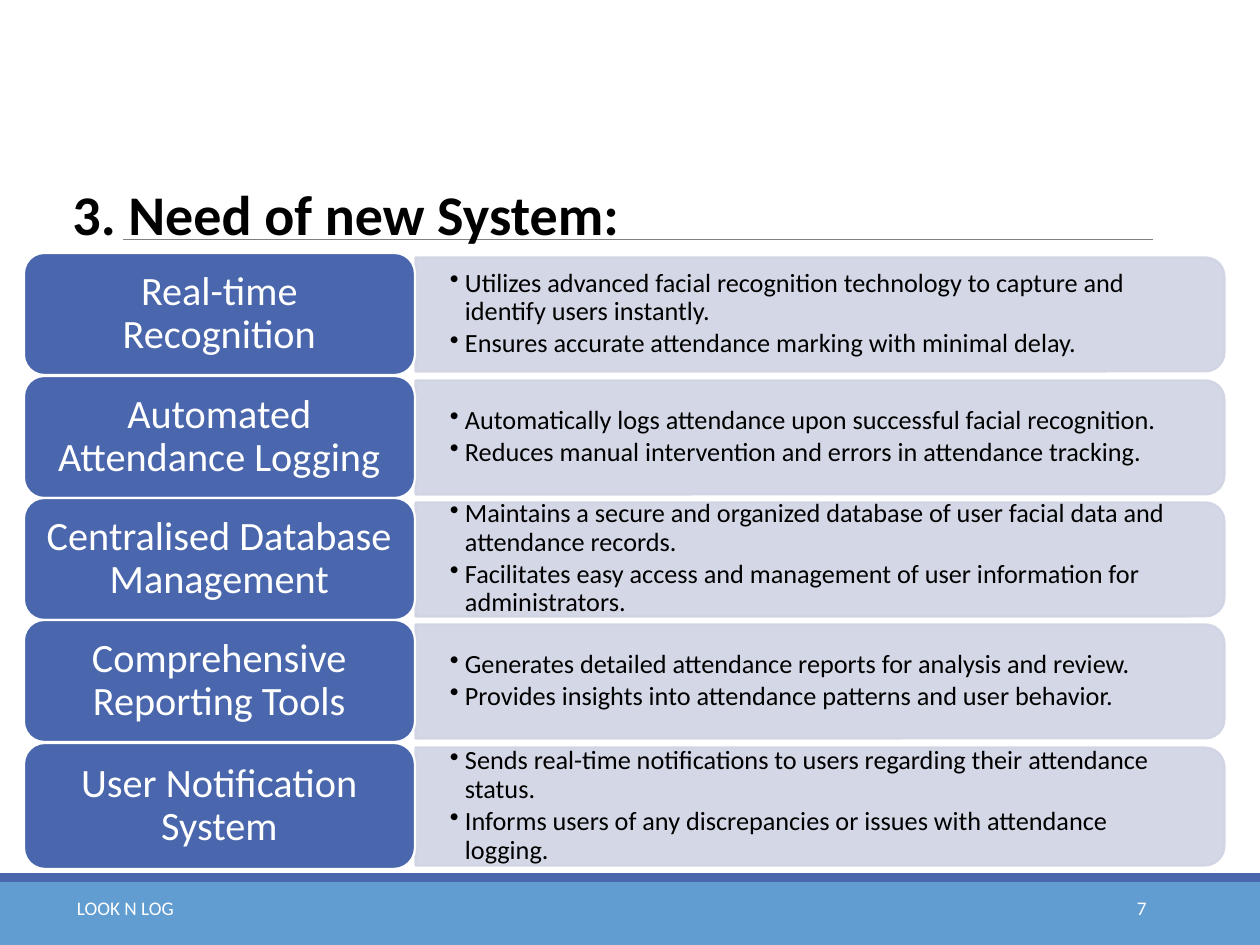
from typing import NamedTuple

from lxml.etree import SubElement
from pptx import Presentation
from pptx.dml.color import RGBColor
from pptx.enum.shapes import MSO_CONNECTOR, MSO_SHAPE
from pptx.enum.text import MSO_ANCHOR, PP_ALIGN
from pptx.oxml.ns import qn
from pptx.util import Emu, Pt

PX_PER_INCH = 126
NAVY, SKY, LAVENDER = "4A66AC", "629DD1", "D0D3E3"
WHITE, BLACK, GREY = "FFFFFF", "000000", "808080"

FIRST_TOP = 253
ROW_PITCH = 122.5
PILL_LEFT, PILL_WIDTH = 24, 391
CARD_LEFT, CARD_WIDTH = 416, 809
CARD_MARGIN = 4
BULLET_INDENT = 15


class Box(NamedTuple):
    left: int
    top: int
    width: int
    height: int


class Need(NamedTuple):
    heading: str
    points: tuple[str, ...]
    height: int = 122


class Label(NamedTuple):
    text: str
    box: Box
    size: int
    color: str
    align: PP_ALIGN
    bold: bool = False


NEEDS = [
    Need("Real-time Recognition", (
        "Utilizes advanced facial recognition technology to capture and identify users instantly.",
        "Ensures accurate attendance marking with minimal delay.")),
    Need("Automated Attendance Logging", (
        "Automatically logs attendance upon successful facial recognition.",
        "Reduces manual intervention and errors in attendance tracking.")),
    Need("Centralised Database Management", (
        "Maintains a secure and organized database of user facial data and attendance records.",
        "Facilitates easy access and management of user information for administrators.")),
    Need("Comprehensive Reporting Tools", (
        "Generates detailed attendance reports for analysis and review.",
        "Provides insights into attendance patterns and user behavior.")),
    Need("User Notification System", (
        "Sends real-time notifications to users regarding their attendance status.",
        "Informs users of any discrepancies or issues with attendance logging."), 126),
]

LABELS = [
    Label("3. Need of new System:", Box(60, 173, 1164, 81), 32, BLACK, PP_ALIGN.LEFT, True),
    Label("LOOK N LOG", Box(0, 890, 251, 50), 11, WHITE, PP_ALIGN.CENTER),
    Label("7", Box(1023, 890, 136, 50), 11, WHITE, PP_ALIGN.RIGHT),
]


def px(length: float) -> Emu:
    return Emu(round(length * 914400 / PX_PER_INCH))


def rgb(color: str) -> RGBColor:
    return RGBColor.from_string(color)


def add_block(page, kind, box: Box, fill: str, line: str | None = None):
    shape = page.shapes.add_shape(kind, *map(px, box))
    shape.shadow.inherit = False
    shape.fill.solid()
    shape.fill.fore_color.rgb = rgb(fill)
    if line:
        shape.line.color.rgb = rgb(line)
        shape.line.width = Pt(1.25)
    else:
        shape.line.fill.background()
    return shape


def add_rule(page, left: int, right: int, top: int) -> None:
    rule = page.shapes.add_connector(
        MSO_CONNECTOR.STRAIGHT, px(left), px(top), px(right), px(top))
    rule.line.color.rgb = rgb(GREY)
    rule.line.width = Pt(0.5)
    SubElement(rule._element.spPr, qn("a:effectLst"))


def style(paragraph, size: int, color: str, bold: bool = False) -> None:
    font = paragraph.font
    font.name = "Calibri"
    font.size = Pt(size)
    font.bold = bold
    font.color.rgb = rgb(color)


def add_label(page, label: Label) -> None:
    frame = page.shapes.add_textbox(*map(px, label.box)).text_frame
    frame.word_wrap = True
    paragraph = frame.paragraphs[0]
    paragraph.text = label.text
    paragraph.alignment = label.align
    style(paragraph, label.size, label.color, label.bold)


def add_card(page, box: Box) -> None:
    shift = (box.width - box.height) // 2
    upright = Box(box.left + shift, box.top - shift, box.height, box.width)
    card = add_block(page, MSO_SHAPE.ROUND_2_SAME_RECTANGLE, upright, LAVENDER, LAVENDER)
    card.rotation = 90
    for color in card._element.spPr.iter(qn("a:srgbClr")):
        SubElement(color, qn("a:alpha"), val="90000")


def add_points(page, box: Box, points: tuple[str, ...]) -> None:
    frame = page.shapes.add_textbox(*map(px, box)).text_frame
    frame.word_wrap = True
    frame.vertical_anchor = MSO_ANCHOR.MIDDLE
    frame.margin_left = frame.margin_right = px(34)
    frame.margin_top = frame.margin_bottom = px(18)
    for index, point in enumerate(points):
        paragraph = frame.add_paragraph() if index else frame.paragraphs[0]
        paragraph.text = point
        paragraph.level = 1
        paragraph.line_spacing = 0.9
        paragraph.space_after = Pt(2.25)
        properties = paragraph._p.get_or_add_pPr()
        properties.set("marL", str(px(BULLET_INDENT)))
        properties.set("indent", str(-px(BULLET_INDENT)))
        SubElement(properties, qn("a:buChar"), char="•")
        style(paragraph, 15, BLACK)


def add_pill(page, box: Box, heading: str) -> None:
    pill = add_block(page, MSO_SHAPE.ROUNDED_RECTANGLE, box, NAVY, WHITE)
    frame = pill.text_frame
    frame.word_wrap = True
    frame.vertical_anchor = MSO_ANCHOR.MIDDLE
    paragraph = frame.paragraphs[0]
    paragraph.text = heading
    paragraph.alignment = PP_ALIGN.CENTER
    paragraph.line_spacing = 0.9
    style(paragraph, 23, WHITE)


def add_need(page, need: Need, top: int) -> None:
    card = Box(CARD_LEFT, top + CARD_MARGIN, CARD_WIDTH, need.height - 2 * CARD_MARGIN)
    add_card(page, card)
    add_points(page, card._replace(width=CARD_WIDTH - 6), need.points)
    add_pill(page, Box(PILL_LEFT, top, PILL_WIDTH, need.height), need.heading)


def main() -> None:
    deck = Presentation()
    deck.slide_width, deck.slide_height = px(1260), px(945)
    page = deck.slides.add_slide(deck.slide_layouts[6])
    add_block(page, MSO_SHAPE.RECTANGLE, Box(0, 882, 1260, 63), SKY)
    add_block(page, MSO_SHAPE.RECTANGLE, Box(0, 873, 1260, 9), NAVY)
    add_rule(page, 123, 1153, 239)
    for row, need in enumerate(NEEDS):
        add_need(page, need, round(FIRST_TOP + row * ROW_PITCH))
    for label in LABELS:
        add_label(page, label)
    deck.save("out.pptx")


if __name__ == "__main__":
    main()
